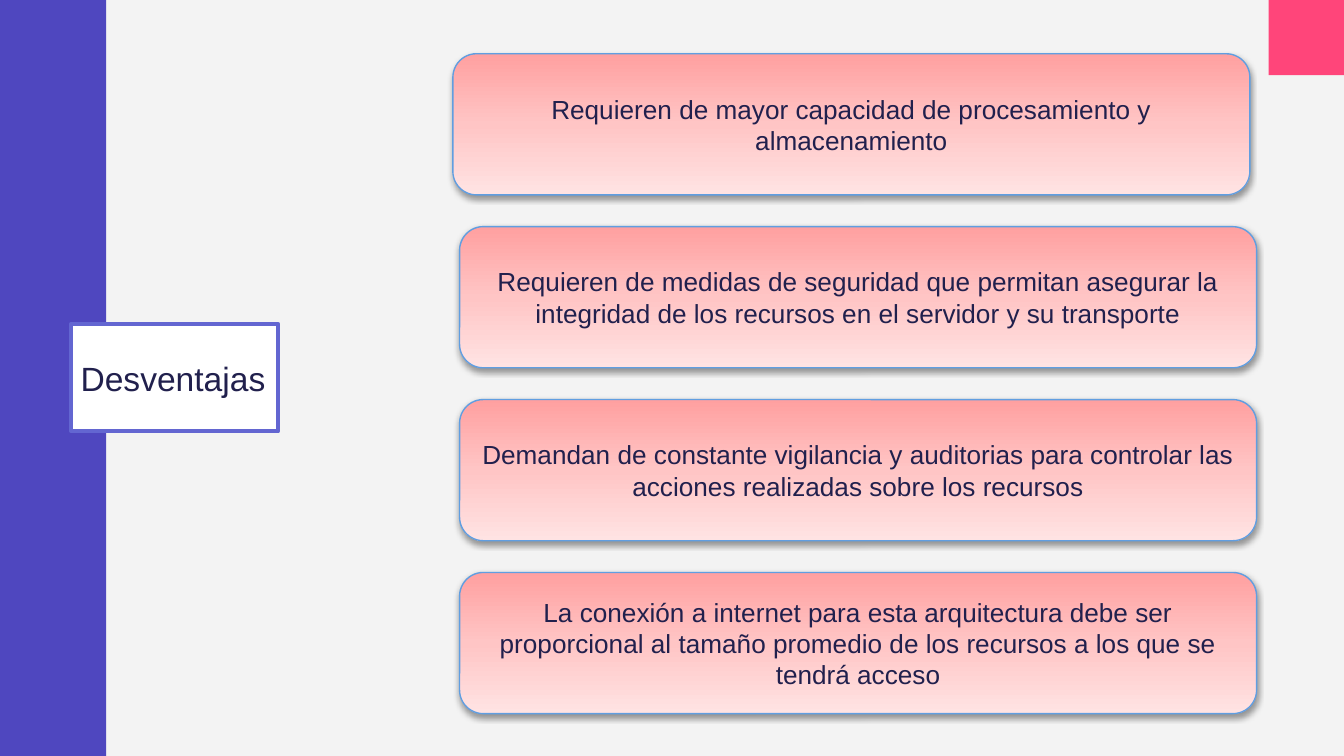
import pptx
import pptx.dml.color
import pptx.enum.shapes
import pptx.enum.text
import pptx.oxml
import pptx.oxml.ns
import pptx.util
from pptx.util import Inches

INK = "21204D"
SLIDE_WIDTH = 10
SLIDE_HEIGHT = SLIDE_WIDTH * 9 / 16
CARD_STOPS = [(0, "FFA0A0"), (50, "FFC5C5"), (100, "FFE3E3")]
CARD_TOP, CARD_LAST_TOP = 0.4, 4.26
DISADVANTAGES = [
    "Requieren de mayor capacidad de procesamiento y almacenamiento",
    "Requieren de medidas de seguridad que permitan asegurar la integridad "
    "de los recursos en el servidor y su transporte",
    "Demandan de constante vigilancia y auditorias para controlar las "
    "acciones realizadas sobre los recursos",
    "La conexión a internet para esta arquitectura debe ser proporcional al "
    "tamaño promedio de los recursos a los que se tendrá acceso",
]


def color(value):
    return pptx.dml.color.RGBColor.from_string(value)


def parse(xml):
    return pptx.oxml.parse_xml(
        xml.replace(">", " " + pptx.oxml.ns.nsdecls("a") + ">", 1))


def set_fill(sp, value):
    sp.fill.solid()
    sp.fill.fore_color.rgb = color(value)


def set_line(sp, value, width):
    sp.line.color.rgb = color(value)
    sp.line.width = pptx.util.Pt(width)


def set_text(sp, text, size, align):
    tf = sp.text_frame
    tf.word_wrap = True
    tf.vertical_anchor = pptx.enum.text.MSO_ANCHOR.MIDDLE
    tf.text = text
    p = tf.paragraphs[0]
    p.alignment = align
    font = p.runs[0].font
    font.name = "Arial"
    font.size = pptx.util.Pt(size)
    font.color.rgb = color(INK)


def set_gradient(sp, stops):
    sp.fill.gradient()
    sp.fill.gradient_angle = 270
    stop_list = sp._element.spPr.find(".//" + pptx.oxml.ns.qn("a:gsLst"))
    for stop in list(stop_list):
        stop_list.remove(stop)
    for position, value in stops:
        stop_list.append(parse(
            f'<a:gs pos="{position * 1000}"><a:srgbClr val="{value}"/></a:gs>'))


def add_shadow(sp):
    effects = sp._element.spPr.find(pptx.oxml.ns.qn("a:effectLst"))
    effects.append(parse(
        '<a:outerShdw blurRad="40000" dist="20000" dir="5400000" '
        'rotWithShape="0"><a:srgbClr val="000000"><a:alpha val="38000"/>'
        '</a:srgbClr></a:outerShdw>'))


def add_block(s, left, top, width, height, fill):
    sp = s.shapes.add_shape(pptx.enum.shapes.MSO_SHAPE.RECTANGLE,
                            Inches(left), Inches(top),
                            Inches(width), Inches(height))
    sp.shadow.inherit = False
    set_fill(sp, fill)
    sp.line.fill.background()


def add_title(s, text):
    sp = s.shapes.add_textbox(Inches(0.53), Inches(2.41),
                              Inches(1.54), Inches(0.8))
    set_fill(sp, "FFFFFF")
    set_line(sp, "6366D1", 2.25)
    tf = sp.text_frame
    tf.margin_left = tf.margin_right = Inches(0.07)
    tf.margin_top = tf.margin_bottom = Inches(0.04)
    set_text(sp, text, 18, pptx.enum.text.PP_ALIGN.LEFT)


def add_card(s, left, top, text):
    sp = s.shapes.add_shape(pptx.enum.shapes.MSO_SHAPE.ROUNDED_RECTANGLE,
                            Inches(left), Inches(top),
                            Inches(5.93), Inches(1.05))
    sp.shadow.inherit = False
    set_gradient(sp, CARD_STOPS)
    set_line(sp, "609EE1", 0.75)
    add_shadow(sp)
    set_text(sp, text, 14, pptx.enum.text.PP_ALIGN.CENTER)


def main():
    prs = pptx.Presentation()
    prs.slide_width = Inches(SLIDE_WIDTH)
    prs.slide_height = Inches(SLIDE_HEIGHT)
    s = prs.slides.add_slide(prs.slide_layouts[6])

    # Background, side band and corner square
    set_fill(s.background, "F3F3F3")
    add_block(s, 0, 0, 0.79, SLIDE_HEIGHT, "4F47BF")
    add_block(s, 9.44, 0, 0.56, 0.56, "FF457A")

    add_title(s, "Desventajas")

    # Evenly spaced cards; the first sits slightly to the left
    step = (CARD_LAST_TOP - CARD_TOP) / (len(DISADVANTAGES) - 1)
    for i, text in enumerate(DISADVANTAGES):
        add_card(s, 3.42 if i else 3.37, CARD_TOP + i * step, text)

    prs.save("out.pptx")


if __name__ == "__main__":
    main()
